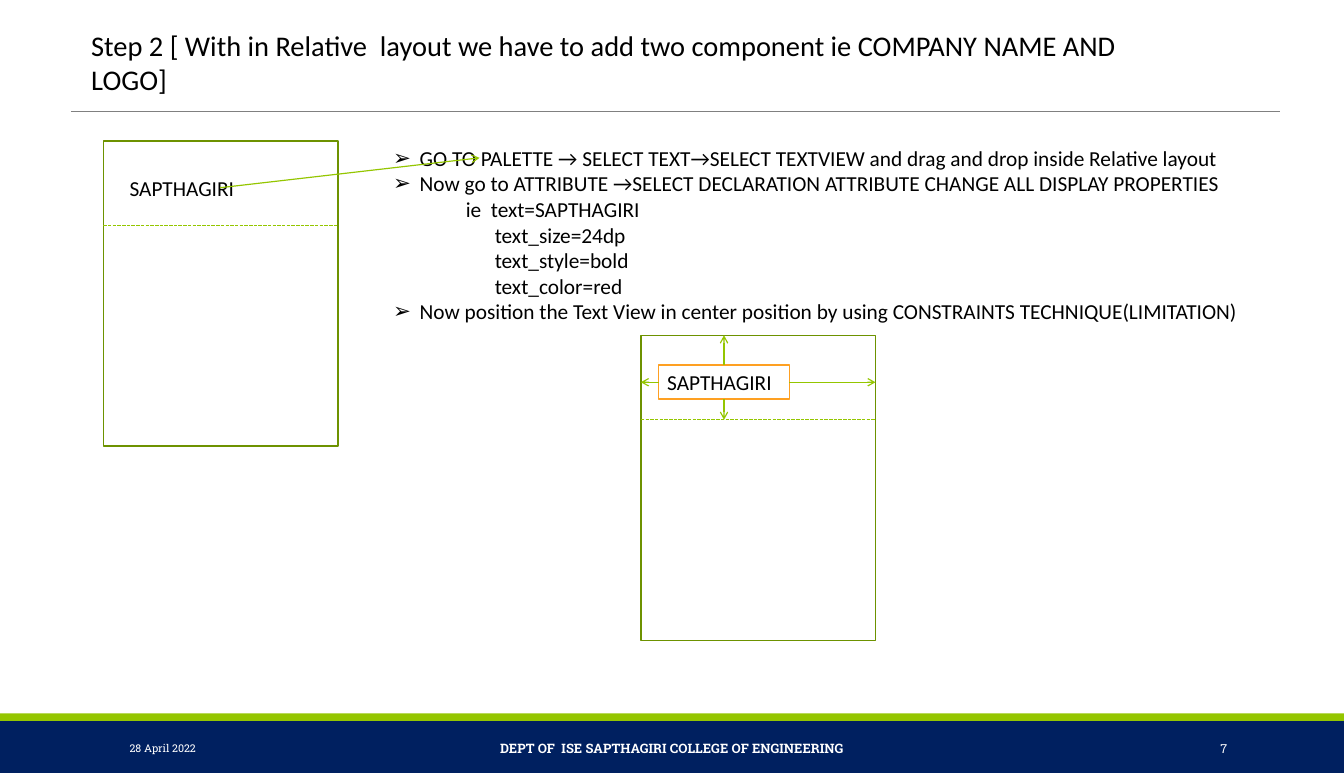
from dataclasses import dataclass

from lxml.etree import SubElement
from pptx import Presentation
from pptx.dml.color import RGBColor
from pptx.enum.dml import MSO_LINE
from pptx.enum.shapes import MSO_CONNECTOR, MSO_SHAPE
from pptx.enum.text import MSO_ANCHOR, PP_ALIGN
from pptx.oxml.ns import qn
from pptx.util import Inches, Pt


@dataclass(frozen=True)
class Theme:
    body_font: str = "Calibri"
    footer_font: str = "Roboto Slab"
    title_size: float = 24
    body_size: float = 18
    black: str = "000000"
    white: str = "FFFFFF"
    navy: str = "002060"
    lime: str = "94C600"
    green: str = "6D9200"
    orange: str = "FEA022"
    gray: str = "808080"


THEME = Theme()
SLIDE_W, SLIDE_H = 15.75, 9.06
TITLE = "Step 2 [ With in Relative  layout we have to add two component ie COMPANY NAME AND LOGO]"
COMPANY = "SAPTHAGIRI"
# (text, left indent, bulleted)
STEPS = [
    ("GO TO PALETTE → SELECT TEXT→SELECT TEXTVIEW and drag and drop inside Relative layout", 0.31, True),
    ("Now go to ATTRIBUTE →SELECT DECLARATION ATTRIBUTE CHANGE ALL DISPLAY PROPERTIES", 0.31, True),
    ("ie  text=SAPTHAGIRI", 0.85, False),
    ("text_size=24dp", 1.19, False),
    ("text_style=bold", 1.19, False),
    ("text_color=red", 1.19, False),
    ("Now position the Text View in center position by using CONSTRAINTS TECHNIQUE(LIMITATION)", 0.31, True),
]
# (text, left, width, size, bold, alignment)
FOOTER = [
    ("28 April 2022", 1.42, 3.19, 9, False, PP_ALIGN.LEFT),
    ("DEPT OF  ISE SAPTHAGIRI COLLEGE OF ENGINEERING", 4.76, 6.23, 11, True, PP_ALIGN.CENTER),
    ("7", 12.79, 1.69, 10.5, False, PP_ALIGN.RIGHT),
]
PHONE_W, PHONE_H, HEADER_H = 2.75, 3.58, 0.99
LABEL_W, LABEL_H = 1.53, 0.4
LABEL_DX = 0.21


def rgb(value):
    return RGBColor.from_string(value)


def add_rect(s, x, y, w, h, fill, line=None):
    sp = s.shapes.add_shape(MSO_SHAPE.RECTANGLE, Inches(x), Inches(y), Inches(w), Inches(h))
    sp.shadow.inherit = False
    sp.fill.solid()
    sp.fill.fore_color.rgb = rgb(fill)
    if line:
        sp.line.color.rgb = rgb(line)
        sp.line.width = Pt(1.25)
    else:
        sp.line.fill.background()
    return sp


def add_line(s, x1, y1, x2, y2, color=THEME.lime, width=1, dashed=False, arrow=False):
    c = s.shapes.add_connector(MSO_CONNECTOR.STRAIGHT, Inches(x1), Inches(y1), Inches(x2), Inches(y2))
    c.line.color.rgb = rgb(color)
    c.line.width = Pt(width)
    if dashed:
        c.line.dash_style = MSO_LINE.SQUARE_DOT
    if arrow:
        SubElement(c.line._get_or_add_ln(), qn("a:tailEnd"), type="arrow")
    SubElement(c._element.spPr, qn("a:effectLst"))
    return c


def add_run(p, text, size=THEME.body_size, font=THEME.body_font, color=THEME.black, bold=False):
    r = p.add_run()
    r.text = text
    r.font.name = font
    r.font.size = Pt(size)
    r.font.bold = bold
    r.font.color.rgb = rgb(color)


def add_box(s, x, y, w, h, anchor=MSO_ANCHOR.TOP):
    tf = s.shapes.add_textbox(Inches(x), Inches(y), Inches(w), Inches(h)).text_frame
    tf.word_wrap = True
    tf.vertical_anchor = anchor
    return tf


def indent(p, left, bulleted):
    pPr = p._p.get_or_add_pPr()
    pPr.set("marL", str(Inches(left)))
    pPr.set("indent", str(-Inches(left) if bulleted else 0))
    if bulleted:
        SubElement(pPr, qn("a:buFont"), typeface="Arial")
        SubElement(pPr, qn("a:buChar"), char="➢")


def add_phone(s, x, y):
    """Screen outline with a dashed rule under its header."""
    add_rect(s, x, y, PHONE_W, PHONE_H, THEME.white, THEME.green)
    add_line(s, x, y + HEADER_H, x + PHONE_W, y + HEADER_H, dashed=True)


def add_frame(s):
    add_rect(s, 0, 8.45, SLIDE_W, SLIDE_H - 8.45, THEME.navy)
    add_rect(s, 0, 8.36, SLIDE_W, 0.09, THEME.lime)
    add_line(s, 0.83, 1.31, 15, 1.31, THEME.gray, 0.5)
    for text, x, w, size, bold, align in FOOTER:
        p = add_box(s, x, 8.53, w, 0.48, MSO_ANCHOR.MIDDLE).paragraphs[0]
        p.alignment = align
        add_run(p, text, size, THEME.footer_font, THEME.white, bold)
    add_run(add_box(s, 0.97, 0.28, 12.85, 0.91).paragraphs[0], TITLE, THEME.title_size)


def add_steps(s):
    tf = add_box(s, 4.51, 1.65, 10.79, 2.52)
    for i, (text, left, bulleted) in enumerate(STEPS):
        p = tf.add_paragraph() if i else tf.paragraphs[0]
        indent(p, left, bulleted)
        add_run(p, text)


def add_constrained_phone(s, x, y):
    """Phone whose label is tied to the four sides of the header."""
    add_phone(s, x, y)
    lx, ly = x + LABEL_DX, y + 0.35
    label = add_rect(s, lx, ly, LABEL_W, LABEL_H, THEME.white, THEME.orange)
    p = label.text_frame.paragraphs[0]
    p.alignment = PP_ALIGN.LEFT
    add_run(p, COMPANY)
    cx, cy = lx + LABEL_W / 2, ly + LABEL_H / 2
    ends = [(cx, y), (x, cy), (cx, y + HEADER_H), (x + PHONE_W, cy)]
    for side, (ex, ey) in enumerate(ends):
        add_line(s, cx, cy, ex, ey, arrow=True).begin_connect(label, side)


def main():
    prs = Presentation()
    prs.slide_width, prs.slide_height = Inches(SLIDE_W), Inches(SLIDE_H)
    s = prs.slides.add_slide(prs.slide_layouts[6])
    add_frame(s)
    add_phone(s, 1.21, 1.65)
    add_run(add_box(s, 1.21 + LABEL_DX, 2, LABEL_W, LABEL_H).paragraphs[0], COMPANY)
    add_steps(s)
    add_line(s, 2.58, 2.2, 5.62, 1.85, arrow=True)
    add_constrained_phone(s, 7.51, 3.93)
    prs.save("out.pptx")


if __name__ == "__main__":
    main()
